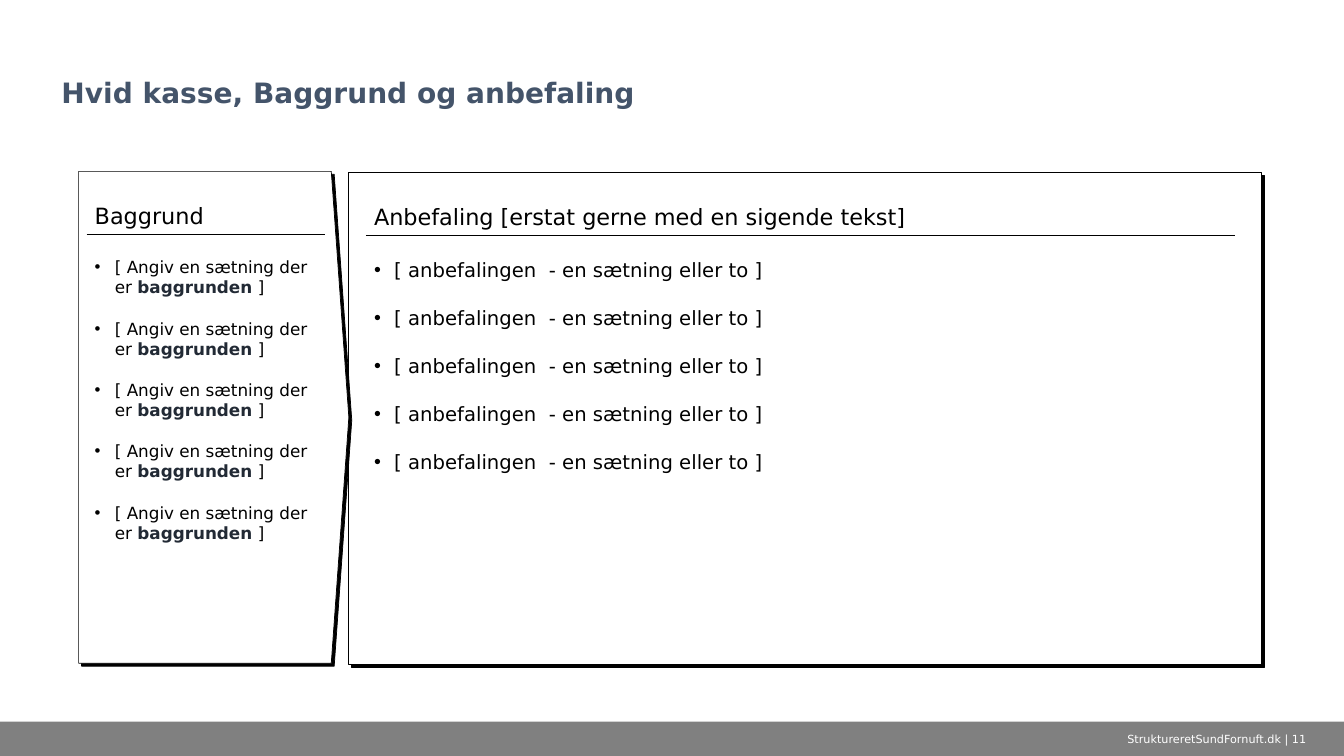
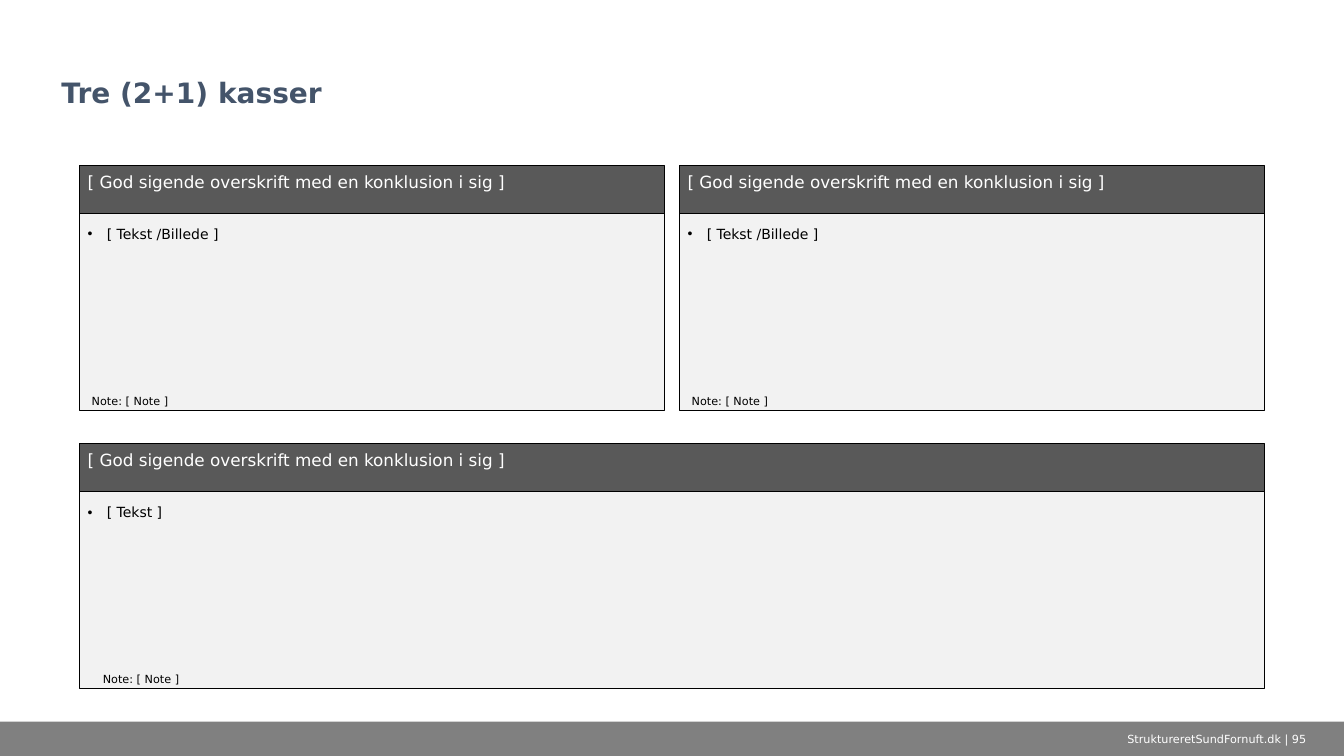
from dataclasses import dataclass
from lxml.etree import SubElement
from pptx import Presentation
from pptx.dml.color import RGBColor
from pptx.enum.shapes import MSO_CONNECTOR, MSO_SHAPE
from pptx.enum.text import MSO_ANCHOR, MSO_AUTO_SIZE, PP_ALIGN
from pptx.oxml.ns import qn
from pptx.util import Inches, Pt


@dataclass(frozen=True)
class Theme:
    font: str = "DejaVu Sans"
    white: str = "FFFFFF"
    black: str = "000000"
    title: str = "44546A"
    strong: str = "222A35"
    band: str = "808080"
    head: str = "595959"
    pale: str = "F2F2F2"
    title_size: int = 20
    panel_size: int = 16
    large: int = 14
    medium: int = 12
    body: int = 10
    small: int = 8
    line: float = 0.5
    gap: float = 1.25


class Deck:
    def __init__(self, theme):
        self.theme = theme
        self.file = Presentation()
        self.file.slide_width = Inches(13.33)
        self.file.slide_height = Inches(7.5)
        self.slide = None

    def page(self, title, number):
        t = self.theme
        self.slide = self.file.slides.add_slide(self.file.slide_layouts[5])
        self.box(0, 7.16, 13.33, 0.34, t.band, edge=False)
        head = self.slide.shapes.title
        head.left, head.top = Inches(0.51), Inches(0.17)
        head.width, head.height = Inches(12.31), Inches(0.97)
        self.fill(head, [[(title, t.title, True)]], t.title_size,
                  anchor=MSO_ANCHOR.BOTTOM, inset=(0.1, 0.05))
        head.text_frame.paragraphs[0].line_spacing = 0.9
        self.text(10.81, 7.16, 2.52, 0.34,
                  [[(f"StruktureretSundFornuft.dk | {number}", t.white, False)]],
                  t.small, anchor=MSO_ANCHOR.MIDDLE, align=PP_ALIGN.CENTER)

    def fill(self, shape, rows, size, anchor=MSO_ANCHOR.TOP,
             align=PP_ALIGN.LEFT, inset=(0.08, 0.06), indent=0):
        frame = shape.text_frame
        frame.word_wrap = True
        frame.auto_size = MSO_AUTO_SIZE.NONE
        frame.vertical_anchor = anchor
        frame.margin_left = frame.margin_right = Inches(inset[0])
        frame.margin_top = frame.margin_bottom = Inches(inset[1])
        for i, row in enumerate(rows):
            para = frame.add_paragraph() if i else frame.paragraphs[0]
            if indent:
                self.bullet(para, indent)
            para.alignment = align
            para.space_before = Pt(size * self.theme.gap if i else 0)
            for words, color, bold in row:
                run = para.add_run()
                run.text = words
                run.font.name = self.theme.font
                run.font.size = Pt(size)
                run.font.bold = bold
                run.font.color.rgb = RGBColor.from_string(color)

    def bullet(self, para, indent):
        props = para._p.get_or_add_pPr()
        props.set("marL", str(Inches(indent)))
        props.set("indent", str(-Inches(indent)))
        SubElement(props, qn("a:buFont")).set("typeface", "Arial")
        SubElement(props, qn("a:buChar")).set("char", "•")

    def text(self, x, y, w, h, rows, size, **style):
        shape = self.slide.shapes.add_textbox(
            Inches(x), Inches(y), Inches(w), Inches(h))
        self.fill(shape, rows, size, **style)

    def box(self, x, y, w, h, color, kind=MSO_SHAPE.RECTANGLE, edge=True):
        shape = self.slide.shapes.add_shape(
            kind, Inches(x), Inches(y), Inches(w), Inches(h))
        shape.shadow.inherit = False
        shape.fill.solid()
        shape.fill.fore_color.rgb = RGBColor.from_string(color)
        if edge:
            self.stroke(shape.line)
        else:
            shape.line.fill.background()
        return shape

    def stroke(self, line):
        line.color.rgb = RGBColor.from_string(self.theme.black)
        line.width = Pt(self.theme.line)

    def shade(self, shape):
        effects = shape._element.spPr.find(qn("a:effectLst"))
        shadow = SubElement(effects, qn("a:outerShdw"), dist=str(Pt(3)),
                            dir="2700000", algn="tl", rotWithShape="0")
        SubElement(shadow, qn("a:srgbClr"), val=self.theme.black)

    def rule(self, x, y, w):
        line = self.slide.shapes.add_connector(
            MSO_CONNECTOR.STRAIGHT, Inches(x), Inches(y), Inches(x + w), Inches(y))
        self.stroke(line.line)
        SubElement(line._element.spPr, qn("a:effectLst"))

    def panel(self, x, y, w, pad, inner, title, rows, size, arrow=False):
        t = self.theme
        kind = MSO_SHAPE.PENTAGON if arrow else MSO_SHAPE.RECTANGLE
        shape = self.box(x, y, w, 4.88, t.white, kind)
        if arrow:
            shape.adjustments[0] = 0.065
        self.shade(shape)
        left = x + pad
        self.rule(left, y + 0.63, inner)
        self.text(left, y, inner, 0.63, [[(title, t.black, False)]],
                  t.panel_size, anchor=MSO_ANCHOR.BOTTOM)
        self.text(left, y + 0.79, inner, 3.93, rows, size, indent=0.2)

    def card(self, x, y, w, words, note_pad):
        t = self.theme
        body = self.box(x, y + 0.2, w, 2.23, t.pale)
        self.fill(body, [[(words, t.black, False)]], t.body,
                  inset=(0.08, 0.4), indent=0.19)
        head = self.box(x, y, w, 0.48, t.head)
        title = "[ God sigende overskrift med en konklusion i sig ]"
        self.fill(head, [[(title, t.white, False)]], t.medium)
        self.text(x + note_pad, y + 2.27, w - 1.35, 0.13,
                  [[("Note: [ Note ]", t.black, False)]], t.small, inset=(0, 0))


def main():
    t = Theme()
    deck = Deck(t)

    deck.page("Hvid kasse, Baggrund og anbefaling", 11)
    advice = [("[ anbefalingen  - en sætning eller to ]", t.black, False)]
    deck.panel(3.46, 1.71, 9.05, 0.17, 8.62,
               "Anbefaling [erstat gerne med en sigende tekst]",
               [advice] * 5, t.large)
    reason = [("[ Angiv en sætning der er ", t.black, False),
              ("baggrunden", t.strong, True), (" ]", t.black, False)]
    deck.panel(0.78, 1.7, 2.68, 0.08, 2.36, "Baggrund",
               [reason] * 5, t.medium, arrow=True)

    deck.page("Tre (2+1) kasser", 95)
    left, full, gap = 0.79, 11.75, 0.15
    half = (full - gap) / 2
    for x in (left, left + half + gap):
        deck.card(x, 1.64, half, "[ Tekst /Billede ]", 0.12)
    deck.card(left, 4.4, full, "[ Tekst ]", 0.23)

    deck.file.save("out.pptx")


if __name__ == "__main__":
    main()
